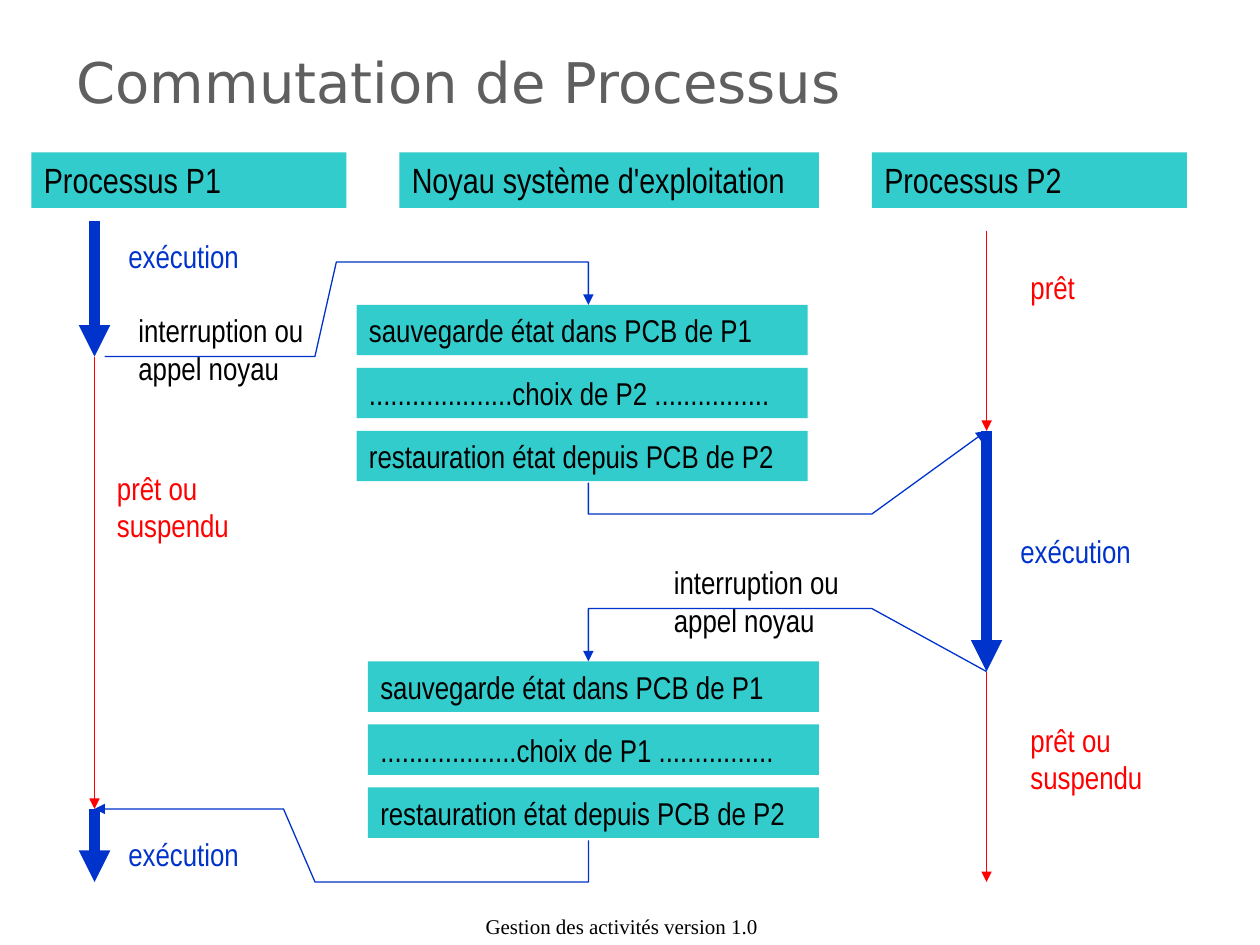
from lxml import etree
from pptx import Presentation
from pptx.dml.color import RGBColor
from pptx.enum import shapes, text
from pptx.oxml.ns import qn
from pptx.util import Inches, Pt

BLUE, RED, BLACK, GREY, TEAL = "0033CC", "FF0000", "000000", "5F5F5F", "33CCCC"
NARROW = "Arial Narrow"
P1_X, KERNEL_X, P2_X = 0.75, 4.67, 7.83

TITLE = "Commutation de Processus"
FOOTER = "Gestion des activités version 1.0"
HEADINGS = [
    ("Processus P1", 0.25, 2.5),
    ("Noyau système d'exploitation", 3.17, 3.33),
    ("Processus P2", 6.92, 2.5),
]
KERNEL_STEPS = [
    (2.83, 2.42, ["sauvegarde état dans PCB de P1",
                  "....................choix de P2 ................",
                  "restauration état depuis PCB de P2"]),
    (2.92, 5.25, ["sauvegarde état dans PCB de P1",
                  "...................choix de P1 ................",
                  "restauration état depuis PCB de P2"]),
]
STEP_PITCH = 0.5
TIMELINES = [
    (P1_X, [1.75, 2.83, 6.42, 7], [BLUE, RED, BLUE]),
    (P2_X, [1.83, 3.42, 5.33, 7], [RED, BLUE, RED]),
]
LINE_WIDTHS = {BLUE: 6, RED: 0.75}
SWITCHES = [
    [(0.83, 2.83), (2.5, 2.83), (2.67, 2.08), (KERNEL_X, 2.08), (KERNEL_X, 2.42)],
    [(KERNEL_X, 3.83), (KERNEL_X, 4.08), (6.92, 4.08), (P2_X, 3.42)],
    [(P2_X, 5.33), (6.92, 4.83), (KERNEL_X, 4.83), (KERNEL_X, 5.25)],
    [(KERNEL_X, 6.67), (KERNEL_X, 7), (2.5, 7), (2.25, 6.42), (P1_X, 6.42)],
]
LABELS = [
    ("exécution", 0.92, 1.83, 2.5, 0.4, BLUE),
    ("interruption ou appel noyau", 1, 2.42, 1.75, 0.7, BLACK),
    ("prêt ou suspendu", 0.83, 3.67, 1.25, 0.7, RED),
    ("exécution", 0.92, 6.58, 1.25, 0.4, BLUE),
    ("prêt", 8.08, 2.08, 1.25, 0.4, RED),
    ("exécution", 8, 4.17, 1.25, 0.4, BLUE),
    ("prêt ou suspendu", 8.08, 5.67, 1.25, 0.7, RED),
    ("interruption ou appel noyau", 5.25, 4.42, 1.75, 0.7, BLACK),
]


def rgb(value):
    return RGBColor.from_string(value)


def write(shape, wording, size, color=BLACK, font=NARROW,
          anchor=text.MSO_ANCHOR.TOP, align=text.PP_ALIGN.LEFT, before=0):
    frame = shape.text_frame
    frame.text = wording
    frame.word_wrap = True
    frame.vertical_anchor = anchor
    paragraph = frame.paragraphs[0]
    paragraph.alignment = align
    paragraph.space_before = Pt(before)
    run_font = paragraph.runs[0].font
    run_font.name, run_font.size = font, Pt(size)
    run_font.color.rgb = rgb(color)


def add_label(slide, wording, left, top, width, height, size, **style):
    box = slide.shapes.add_textbox(*map(Inches, (left, top, width, height)))
    write(box, wording, size, **style)


def add_bar(slide, wording, left, top, width, height, size):
    bar = slide.shapes.add_shape(shapes.MSO_SHAPE.RECTANGLE,
                                 *map(Inches, (left, top, width, height)))
    bar.shadow.inherit = False
    bar.fill.solid()
    bar.fill.fore_color.rgb = rgb(TEAL)
    bar.line.fill.background()
    write(bar, wording, size, before=size * 0.625)


def style_arrow(arrow, color, width):
    arrow.line.color.rgb = rgb(color)
    arrow.line.width = Pt(width)
    properties = arrow._element.spPr
    etree.SubElement(properties.find(qn("a:ln")), qn("a:tailEnd"), type="triangle")
    if properties.find(qn("a:effectLst")) is None:
        etree.SubElement(properties, qn("a:effectLst"))


def add_timeline(slide, x, times, colors):
    for start, end, color in zip(times, times[1:], colors):
        arrow = slide.shapes.add_connector(shapes.MSO_CONNECTOR.STRAIGHT,
                                           *map(Inches, (x, start, x, end)))
        style_arrow(arrow, color, LINE_WIDTHS[color])


def add_switch(slide, route):
    points = [(Inches(x), Inches(y)) for x, y in route]
    builder = slide.shapes.build_freeform(*points[0])
    builder.add_line_segments(points[1:], close=False)
    switch = builder.convert_to_shape()
    switch.fill.background()
    style_arrow(switch, BLUE, 0.75)


def main():
    deck = Presentation()
    deck.slide_width, deck.slide_height = Inches(10), Inches(7.5)
    slide = deck.slides.add_slide(deck.slide_layouts[6])

    add_label(slide, FOOTER, 3.35, 7.14, 3.17, 0.36, 12, font="Times New Roman",
              anchor=text.MSO_ANCHOR.BOTTOM, align=text.PP_ALIGN.CENTER)
    add_label(slide, TITLE, 0.51, 0.28, 6.7, 0.72, 32, color=GREY,
              font="DejaVu Sans", anchor=text.MSO_ANCHOR.MIDDLE)
    for wording, left, width in HEADINGS:
        add_bar(slide, wording, left, 1.21, width, 0.44, 20)
    for timeline in TIMELINES:
        add_timeline(slide, *timeline)
    for left, top, steps in KERNEL_STEPS:
        for row, wording in enumerate(steps):
            add_bar(slide, wording, left, top + row * STEP_PITCH, 3.58, 0.4, 18)
    for route in SWITCHES:
        add_switch(slide, route)
    for *placed, color in LABELS:
        add_label(slide, *placed, 18, color=color, before=11.25)

    deck.save("out.pptx")


if __name__ == "__main__":
    main()
